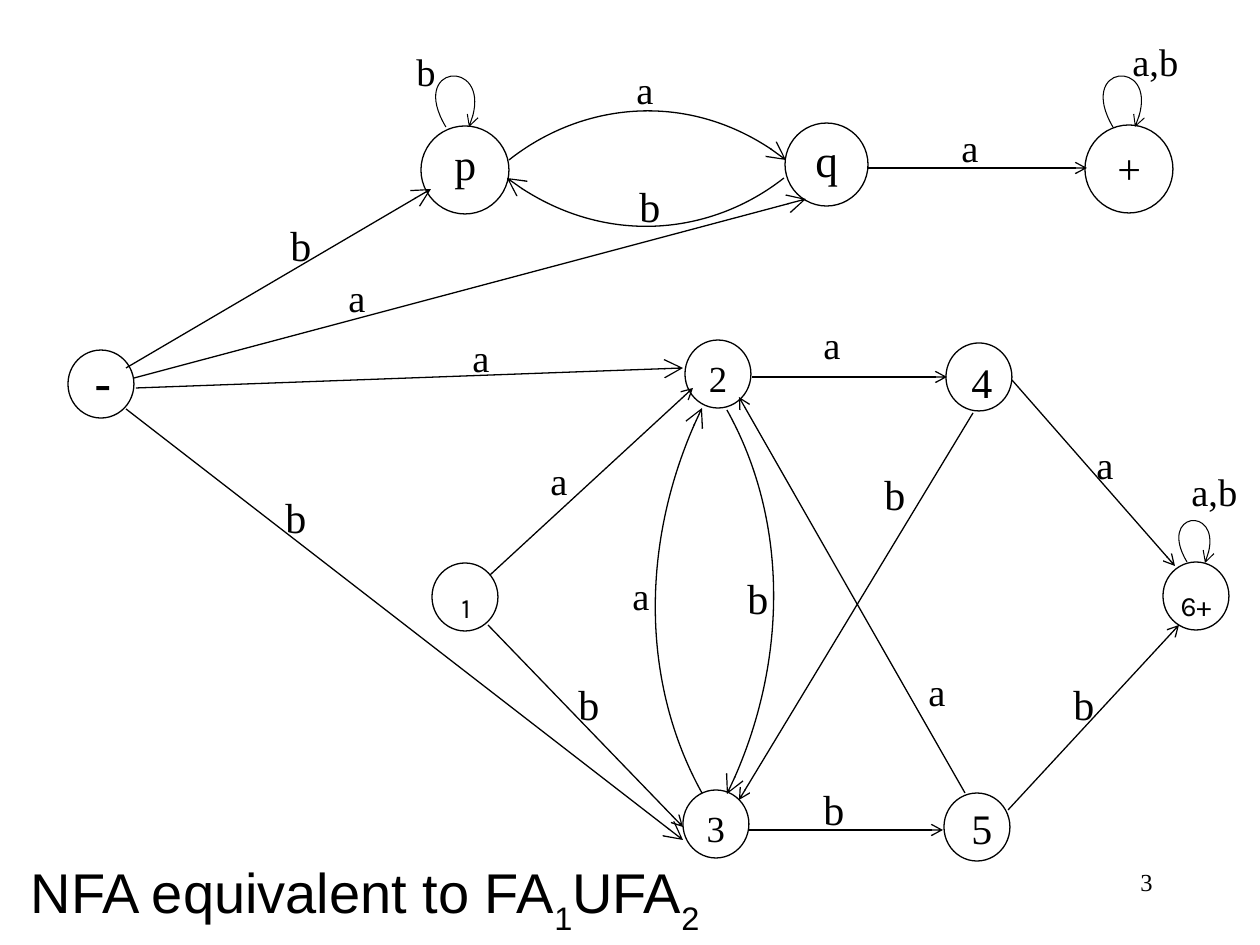
"""Build a slide with the NFA equivalent to the union of two finite automata."""
import lxml.etree
import pptx
import pptx.dml.color
import pptx.enum.shapes
import pptx.enum.text
import pptx.oxml.ns
import pptx.util

SCALE = 914400 / 126
COLORS = {"ink": "000000", "paper": "FFFFFF"}
SERIF = "Times New Roman"
qn = pptx.oxml.ns.qn
ALIGN = pptx.enum.text.PP_ALIGN


def write_text(frame, text, size=22, font=SERIF, align=ALIGN.LEFT, baseline=0):
    frame.word_wrap = True
    frame.auto_size = pptx.enum.text.MSO_AUTO_SIZE.NONE
    frame.vertical_anchor = pptx.enum.text.MSO_ANCHOR.TOP
    paragraph = frame.paragraphs[0]
    paragraph.alignment = align
    run = paragraph.add_run()
    run.text = text
    run.font.size = pptx.util.Pt(size)
    run.font.name = font
    run.font.color.rgb = pptx.dml.color.RGBColor.from_string(COLORS["ink"])
    if baseline:
        run._r.get_or_add_rPr().set("baseline", str(baseline * 1000))


def draw_line(shape, width=0.75, arrow=None):
    shape.line.color.rgb = pptx.dml.color.RGBColor.from_string(COLORS["ink"])
    shape.line.width = pptx.util.Pt(width)
    if arrow:
        line = shape.line._get_or_add_ln()
        lxml.etree.SubElement(line, qn("a:tailEnd"), type="arrow", w=arrow, len=arrow)
    lxml.etree.SubElement(shape._element.spPr, qn("a:effectLst"))


presentation = pptx.Presentation()
presentation.slide_width = round(1260 * SCALE)
presentation.slide_height = round(945 * SCALE)
slide = presentation.slides.add_slide(presentation.slide_layouts[5])

title = slide.shapes.title
title.left, title.top, title.width, title.height = [
    round(length * SCALE) for length in (18, 851, 1166, 73)]
for text, baseline in (("NFA equivalent to FA", 0), ("1", -30), ("UFA", 0), ("2", -30)):
    write_text(title.text_frame, text, size=32, font="Arial", baseline=baseline)

states = [
    (785, 123, 83, 83, ""),
    (421, 126, 88, 88, ""),
    (1085, 125, 88, 88, ""),
    (685, 340, 66, 68, "2"),
    (432, 563, 66, 68, ""),
    (683, 790, 66, 68, "3"),
    (1163, 562, 66, 68, ""),
    (946, 343, 66, 68, ""),
    (944, 793, 66, 68, ""),
    (68, 350, 66, 68, ""),
]
for *box, name in states:
    state = slide.shapes.add_shape(
        pptx.enum.shapes.MSO_SHAPE.OVAL, *[round(length * SCALE) for length in box])
    state.fill.solid()
    state.fill.fore_color.rgb = pptx.dml.color.RGBColor.from_string(COLORS["paper"])
    draw_line(state)
    if name:
        write_text(state.text_frame, name, size=21, align=ALIGN.CENTER)

transitions = [
    (867, 168, 1087, 168, "med"),
    (752, 377, 947, 377, "med"),
    (748, 830, 943, 830, "med"),
    (490, 575, 693, 388, "med"),
    (488, 625, 683, 827, "med"),
    (1008, 810, 1179, 625, "med"),
    (1012, 380, 1175, 566, "med"),
    (965, 793, 739, 397, "med"),
    (973, 413, 739, 800, "med"),
    (134, 378, 806, 199, "lg"),
    (136, 388, 683, 368, "lg"),
    (126, 409, 683, 840, "lg"),
    (126, 368, 431, 189, "lg"),
]
for *ends, arrow in transitions:
    connector = slide.shapes.add_connector(
        pptx.enum.shapes.MSO_CONNECTOR.STRAIGHT, *[round(length * SCALE) for length in ends])
    draw_line(connector, arrow=arrow)

curves = [
    ((784, 178), (713, 234), (599, 248), (507, 178), 0.75, "lg"),
    ((509, 160), (581, 103), (696, 89), (786, 160), 0.75, "lg"),
    ((727, 410), (788, 519), (788, 670), (727, 794), 0.75, "lg"),
    ((702, 793), (641, 683), (641, 533), (702, 408), 0.75, "lg"),
    ((1113, 127), (1076, 64), (1166, 57), (1135, 127), 0.6, "med"),
    ((446, 127), (408, 64), (498, 57), (469, 127), 0.6, "med"),
    ((1187, 562), (1157, 512), (1229, 504), (1205, 563), 0.6, "med"),
]
for start, *controls, width, arrow in curves:
    builder = slide.shapes.build_freeform(*start, scale=SCALE)
    builder.add_line_segments(controls, close=False)
    curve = builder.convert_to_shape()
    outline = next(curve._element.iter(qn("a:path")))
    bezier = lxml.etree.SubElement(outline, qn("a:cubicBezTo"))
    for segment in outline.findall(qn("a:lnTo")):
        bezier.append(segment[0])
        outline.remove(segment)
    curve.fill.background()
    draw_line(curve, width=width, arrow=arrow)

labels = [
    ("a,b", 1120, 32, 123, 84, {}),
    ("a", 624, 60, 52, 50, {}),
    ("b", 404, 42, 123, 84, {}),
    ("a", 949, 118, 52, 50, {}),
    ("b", 627, 174, 52, 50, {"size": 24}),
    ("+", 1105, 136, 52, 50, {"size": 24}),
    ("q", 803, 126, 52, 50, {"size": 26}),
    ("p", 442, 131, 105, 55, {"size": 25}),
    ("-", 82, 344, 105, 76, {"size": 30, "font": "Arial"}),
    ("1", 420, 584, 92, 45, {"size": 16, "font": "Karla", "align": ALIGN.CENTER}),
    ("6+", 1150, 582, 92, 45, {"size": 16, "font": "Karla", "align": ALIGN.CENTER}),
    ("4", 959, 350, 92, 64, {"size": 24}),
    ("5", 959, 796, 92, 64, {"size": 24}),
    ("a", 538, 451, 92, 64, {}),
    ("a", 811, 315, 92, 64, {}),
    ("a", 1084, 435, 92, 64, {}),
    ("a,b", 1179, 462, 92, 64, {}),
    ("b", 566, 672, 92, 64, {"size": 24}),
    ("b", 811, 777, 92, 64, {"size": 24}),
    ("b", 1061, 672, 92, 64, {"size": 24}),
    ("a", 620, 566, 92, 64, {}),
    ("b", 735, 566, 92, 64, {"size": 24}),
    ("b", 872, 462, 92, 64, {"size": 24}),
    ("a", 916, 662, 92, 64, {}),
    ("a", 336, 268, 52, 50, {}),
    ("a", 460, 328, 52, 50, {}),
    ("b", 273, 485, 92, 64, {"size": 24}),
    ("b", 278, 213, 92, 64, {"size": 24}),
    ("3", 903, 861, 262, 63, {"size": 14, "align": ALIGN.RIGHT}),
]
for text, *box, text_format in labels:
    label = slide.shapes.add_textbox(*[round(length * SCALE) for length in box])
    write_text(label.text_frame, text, **text_format)

presentation.save("out.pptx")
